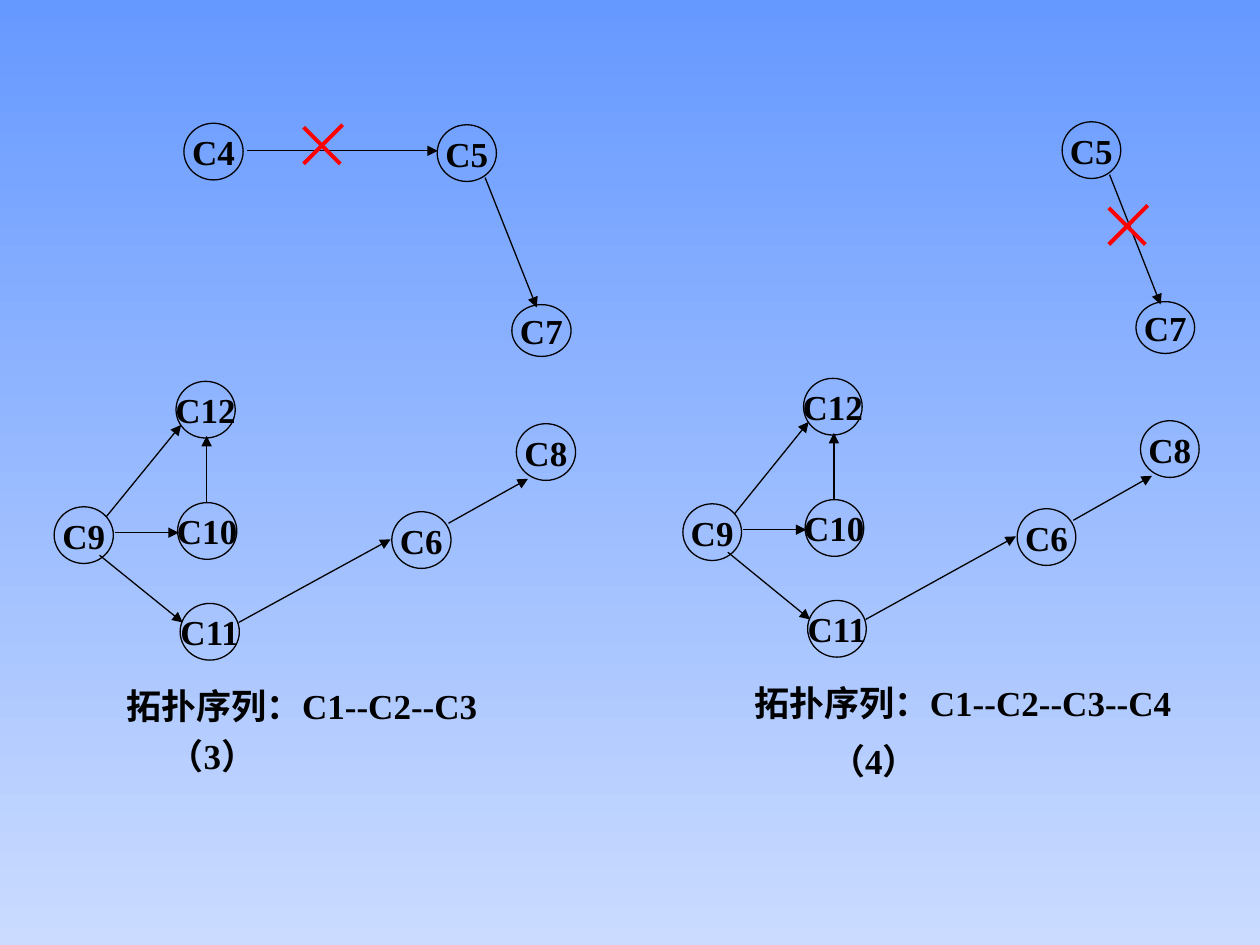
from pptx import Presentation
from pptx.dml.color import RGBColor
from pptx.enum.shapes import MSO_CONNECTOR, MSO_SHAPE
from pptx.enum.text import MSO_ANCHOR, MSO_AUTO_SIZE, PP_ALIGN
from pptx.oxml.ns import qn
from pptx.util import Pt
from lxml.etree import SubElement

NODE_WIDTH, NODE_HEIGHT = 33.84, 32.4
# Name: left, top, height
NODES = {
    "C4": (105.12, 70.4, NODE_HEIGHT),
    "C5": (249.84, 71.28, NODE_HEIGHT),
    "C6": (223.92, 292.4, NODE_HEIGHT),
    "C7": (292.5, 174.1, 29.6),
    "C8": (295.1, 242.1, NODE_HEIGHT),
    "C9": (30.96, 289.6, NODE_HEIGHT),
    "C10": (101.52, 287.2, NODE_HEIGHT),
    "C11": (102.96, 344.8, NODE_HEIGHT),
    "C12": (100.6, 217.9, NODE_HEIGHT),
}
# (from, to): x and y of the start, x and y of the end
EDGES = {
    ("C4", "C5"): (141.3, 86.2, 250.2, 86.2),
    ("C5", "C7"): (277.2, 101.5, 306.7, 175.7),
    ("C9", "C12"): (60.8, 295.2, 103.5, 242.8),
    ("C9", "C10"): (65.5, 304.4, 102.2, 304.4),
    ("C10", "C12"): (118.1, 287.2, 118.1, 249.1),
    ("C9", "C11"): (56.9, 317.3, 104.4, 355.7),
    ("C11", "C6"): (136.4, 355.7, 223.2, 308.2),
    ("C6", "C8"): (256.3, 299, 301.7, 273.6),
}


def color(hex_text):
    return RGBColor.from_string(hex_text)


def write(box, text, font="Times New Roman", size=20, ink="000000",
          bold=True, align=PP_ALIGN.LEFT, anchor=MSO_ANCHOR.TOP):
    frame = box.text_frame
    frame.word_wrap = False
    frame.vertical_anchor = anchor
    para = frame.paragraphs[0]
    para.alignment = align
    span = para.add_run()
    span.text = text
    span.font.name = font
    span.font.size = Pt(size)
    span.font.bold = bold
    span.font.color.rgb = color(ink)


class GraphSlide:
    ink, cross_ink = "000000", "FF0000"
    thin, thick = 0.75, 2.25

    def __init__(self, slide):
        self.slide = slide
        self.start_group()

    def start_group(self):
        """Collect the elements that follow in a new group."""
        self.shapes = self.slide.shapes.add_group_shape().shapes

    def background(self, top, bottom):
        fill = self.slide.background.fill
        fill.gradient()
        fill.gradient_angle = 270
        for stop, shade in zip(fill.gradient_stops, (top, bottom)):
            stop.color.rgb = color(shade)

    def node(self, name, left, top, width, height):
        circle = self.shapes.add_shape(
            MSO_SHAPE.OVAL, Pt(left), Pt(top), Pt(width), Pt(height))
        circle.shadow.inherit = False
        circle.fill.background()
        circle.line.color.rgb = color(self.ink)
        circle.line.width = Pt(self.thin)
        write(circle, name, align=PP_ALIGN.CENTER, anchor=MSO_ANCHOR.MIDDLE)

    def line(self, x1, y1, x2, y2, ink, width, arrow=False):
        connector = self.shapes.add_connector(
            MSO_CONNECTOR.STRAIGHT, Pt(x1), Pt(y1), Pt(x2), Pt(y2))
        connector.line.color.rgb = color(ink)
        connector.line.width = Pt(width)
        properties = connector._element.spPr
        if arrow:
            SubElement(properties.find(qn("a:ln")), qn("a:tailEnd"), type="triangle")
        SubElement(properties, qn("a:effectLst"))

    def cross(self, left, top):
        for ends in ((0, 1.4, 20.9, 22.3), (22.3, 0, 0, 22.3)):
            x1, y1, x2, y2 = ends
            self.line(left + x1, top + y1, left + x2, top + y2,
                      self.cross_ink, self.thick)

    def caption(self, text, left, top, width):
        box = self.shapes.add_textbox(Pt(left), Pt(top), Pt(width), Pt(31.5))
        write(box, text)
        box.text_frame.auto_size = MSO_AUTO_SIZE.SHAPE_TO_FIT_TEXT

    def graph(self, removed=(), origin_x=0, origin_y=0, scale=1):
        """Draw the graph without the removed nodes, moved and scaled in x."""
        for name, (left, top, height) in NODES.items():
            if name not in removed:
                self.node(name, origin_x + scale * left, origin_y + top,
                          scale * NODE_WIDTH, height)
        for ends, (x1, y1, x2, y2) in EDGES.items():
            if not set(ends) & set(removed):
                self.line(origin_x + scale * x1, origin_y + y1,
                          origin_x + scale * x2, origin_y + y2,
                          self.ink, self.thin, arrow=True)


def main():
    deck = Presentation()
    deck.slide_width, deck.slide_height = Pt(720), Pt(540)
    page = GraphSlide(deck.slides.add_slide(deck.slide_layouts[6]))
    page.background("6699FF", "CADBFF")

    page.graph()
    page.caption("拓扑序列：C1--C2--C3", 65.3, 387.5, 219.6)
    page.caption("（3）", 89.3, 416.2, 74.2)

    page.start_group()
    page.graph(removed=("C4",), origin_x=359.6, origin_y=-1.7, scale=0.99)
    page.caption("拓扑序列：C1--C2--C3--C4", 424.1, 385.8, 257)
    page.caption("（4）", 467.3, 419, 74.2)

    for left, top in ((173.5, 71.3), (633.6, 117.4)):
        page.start_group()
        page.cross(left, top)
    deck.save("out.pptx")


if __name__ == "__main__":
    main()
